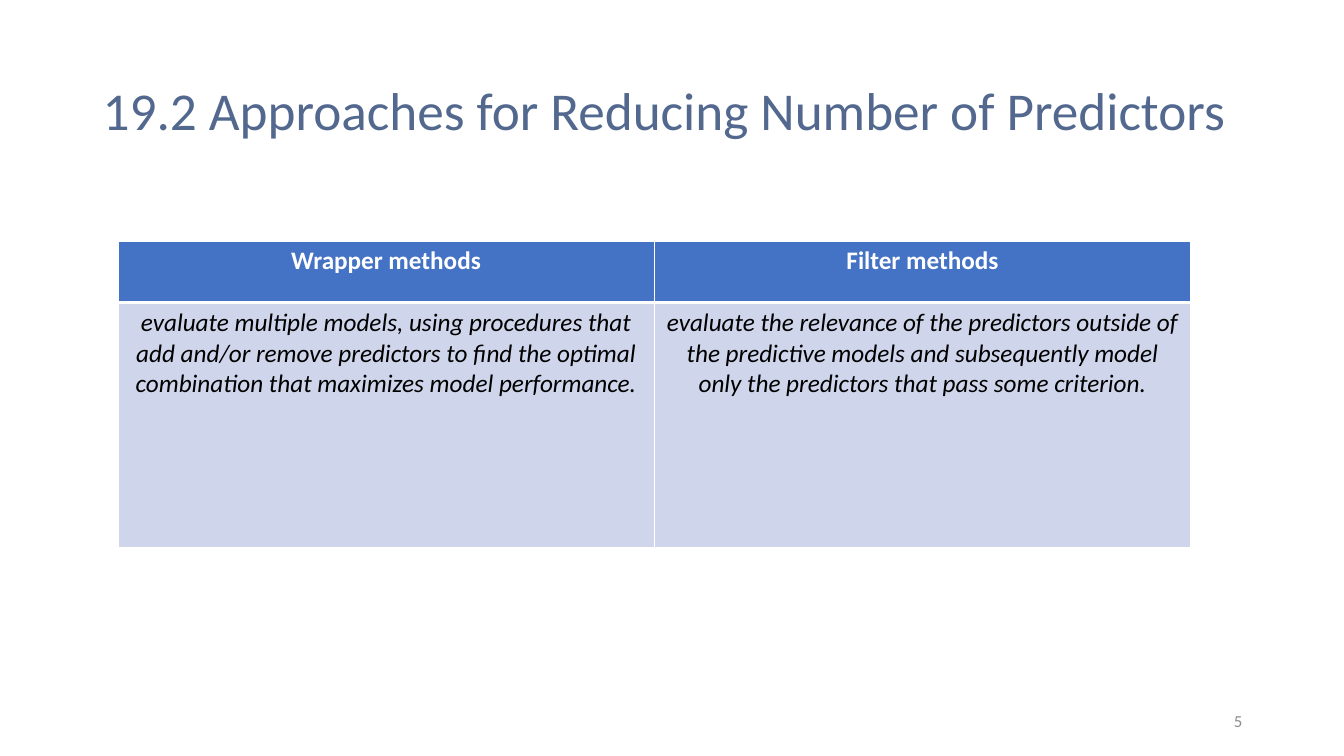
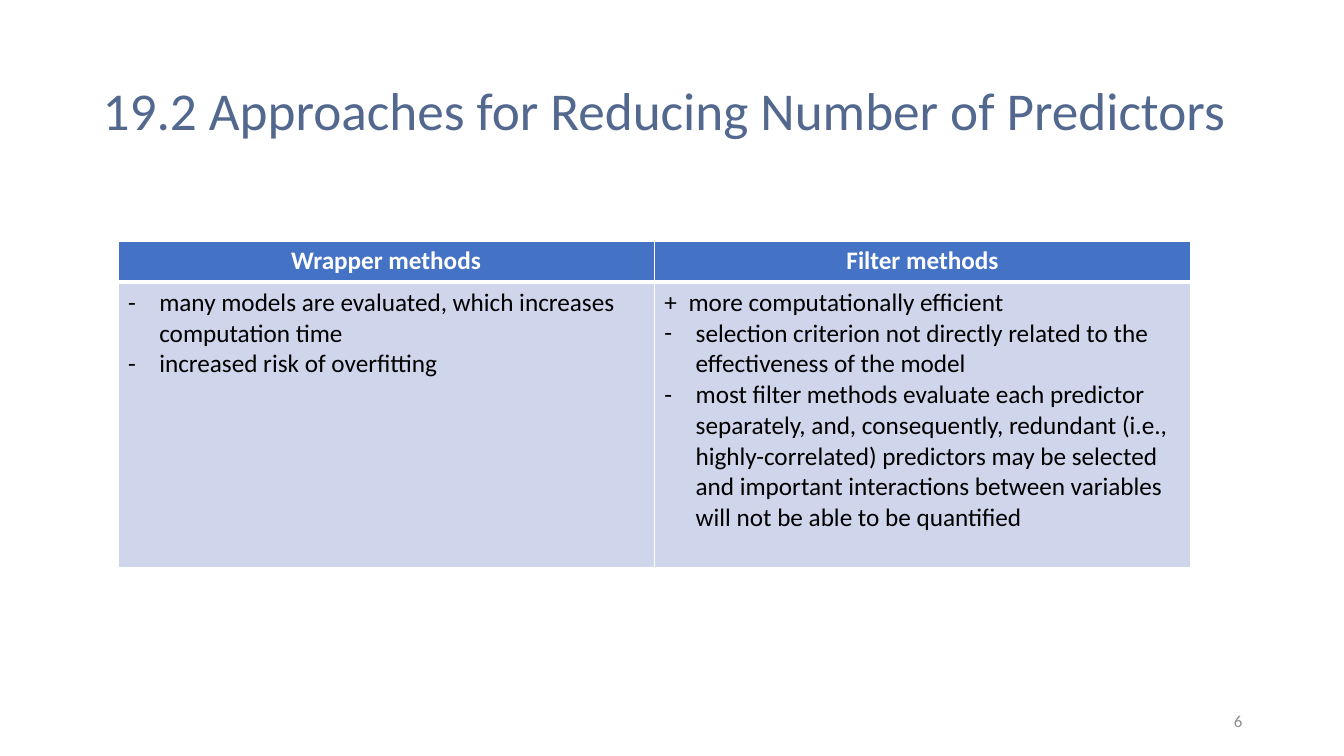
from lxml import etree
from pptx import Presentation
from pptx.dml.color import RGBColor
from pptx.enum.text import MSO_ANCHOR, PP_ALIGN
from pptx.oxml.ns import qn
from pptx.util import Emu, Pt

LEFT, CENTER, RIGHT = PP_ALIGN.LEFT, PP_ALIGN.CENTER, PP_ALIGN.RIGHT
MIDDLE = MSO_ANCHOR.MIDDLE

FONT = "Calibri"
TITLE_BLUE, HEADER_BLUE, BODY_BLUE = "53688E", "4472C4", "CFD5EA"
WHITE, BLACK, GREY = "FFFFFF", "000000", "8C8C8C"

PX_PER_INCH = 100
SLIDE_SIZE = (1333, 750)
TITLE_BOX = (92, 40, 1150, 145)
NUMBER_BOX = (942, 695, 300, 40)
TABLE_LEFT, TABLE_TOP, COLUMN_WIDTH = 117, 239, 532
BULLET_INDENTS = {"-": 31, "+": 24}

TITLE = "19.2 Approaches for Reducing Number of Predictors"
HEADERS = ["Wrapper methods", "Filter methods"]
DEFINITIONS = [
    "evaluate multiple models, using procedures that add and/or remove predictors "
    "to find the optimal combination that maximizes model performance.",
    "evaluate the relevance of the predictors outside of the predictive models and "
    "subsequently model only the predictors that pass some criterion.",
]
PROS_AND_CONS = [
    [
        ("-", "many models are evaluated, which increases computation time"),
        ("-", "increased risk of overfitting"),
    ],
    [
        ("+", "more computationally efficient"),
        ("-", "selection criterion not directly related to the effectiveness of the model"),
        ("-", "most filter methods evaluate each predictor separately, and, consequently, "
              "redundant (i.e., highly-correlated) predictors may be selected and important "
              "interactions between variables will not be able to be quantified"),
    ],
]


def px(length):
    return Emu(length * 914400 // PX_PER_INCH)


def rgb(hex_color):
    return RGBColor.from_string(hex_color)


def style(paragraph, size, color, align=LEFT, bold=False, italic=False):
    paragraph.alignment = align
    font = paragraph.font
    font.name, font.size, font.bold, font.italic = FONT, Pt(size), bold, italic
    font.color.rgb = rgb(color)


def add_text(slide, box, text, size, color, align=LEFT, line_spacing=None):
    frame = slide.shapes.add_textbox(*map(px, box)).text_frame
    frame.word_wrap = True
    frame.vertical_anchor = MIDDLE
    paragraph = frame.paragraphs[0]
    paragraph.text = text
    paragraph.line_spacing = line_spacing
    style(paragraph, size, color, align)


def set_bullet(paragraph, mark):
    """Give the paragraph a hanging bullet."""
    properties = paragraph._p.get_or_add_pPr()
    indent = px(BULLET_INDENTS[mark])
    properties.set("marL", str(indent))
    properties.set("indent", str(-indent))
    bullet_font = etree.Element(qn("a:buFont"), typeface=FONT)
    bullet = etree.Element(qn("a:buChar"), char=mark)
    for position, element in enumerate((bullet_font, bullet)):
        properties.insert(position, element)


def paint_cell(cell, fill, top=1, bottom=1):
    """Draw white borders, top and bottom in points, then the fill."""
    properties = cell._tc.get_or_add_tcPr()
    for side, width in (("L", 1), ("R", 1), ("T", top), ("B", bottom)):
        border = etree.SubElement(properties, qn(f"a:ln{side}"), w=str(Pt(width)))
        line_fill = etree.SubElement(border, qn("a:solidFill"))
        etree.SubElement(line_fill, qn("a:srgbClr"), val=WHITE)
    cell.fill.solid()
    cell.fill.fore_color.rgb = rgb(fill)


def fill_definition(cell, definition):
    cell.text = definition
    style(cell.text_frame.paragraphs[0], 18, BLACK, CENTER, italic=True)


def fill_bullets(cell, points):
    frame = cell.text_frame
    frame.text = "\n".join(text for _, text in points)
    for paragraph, (mark, _) in zip(frame.paragraphs, points):
        style(paragraph, 18, BLACK)
        set_bullet(paragraph, mark)


def add_methods_table(slide, row_heights, contents, fill_body):
    """Set HEADERS over contents; fill_body writes each body cell."""
    table = slide.shapes.add_table(
        2, len(HEADERS), px(TABLE_LEFT), px(TABLE_TOP),
        px(COLUMN_WIDTH * len(HEADERS)), px(sum(row_heights))).table
    for row, height in zip(table.rows, row_heights):
        row.height = px(height)
    for column, (header, content) in enumerate(zip(HEADERS, contents)):
        table.columns[column].width = px(COLUMN_WIDTH)
        header_cell, body_cell = table.cell(0, column), table.cell(1, column)
        header_cell.text = header
        style(header_cell.text_frame.paragraphs[0], 18, WHITE, CENTER, bold=True)
        paint_cell(header_cell, HEADER_BLUE, bottom=3)
        fill_body(body_cell, content)
        paint_cell(body_cell, BODY_BLUE, top=3)


def add_methods_slide(deck, number, row_heights, contents, fill_body):
    slide = deck.slides.add_slide(deck.slide_layouts[6])
    add_text(slide, TITLE_BOX, TITLE, 38, TITLE_BLUE, line_spacing=0.9)
    add_text(slide, NUMBER_BOX, str(number), 12, GREY, RIGHT)
    add_methods_table(slide, row_heights, contents, fill_body)


def main():
    deck = Presentation()
    deck.slide_width, deck.slide_height = map(px, SLIDE_SIZE)
    add_methods_slide(deck, 5, (61, 243), DEFINITIONS, fill_definition)
    add_methods_slide(deck, 6, (41, 283), PROS_AND_CONS, fill_bullets)
    deck.save("out.pptx")


if __name__ == "__main__":
    main()
